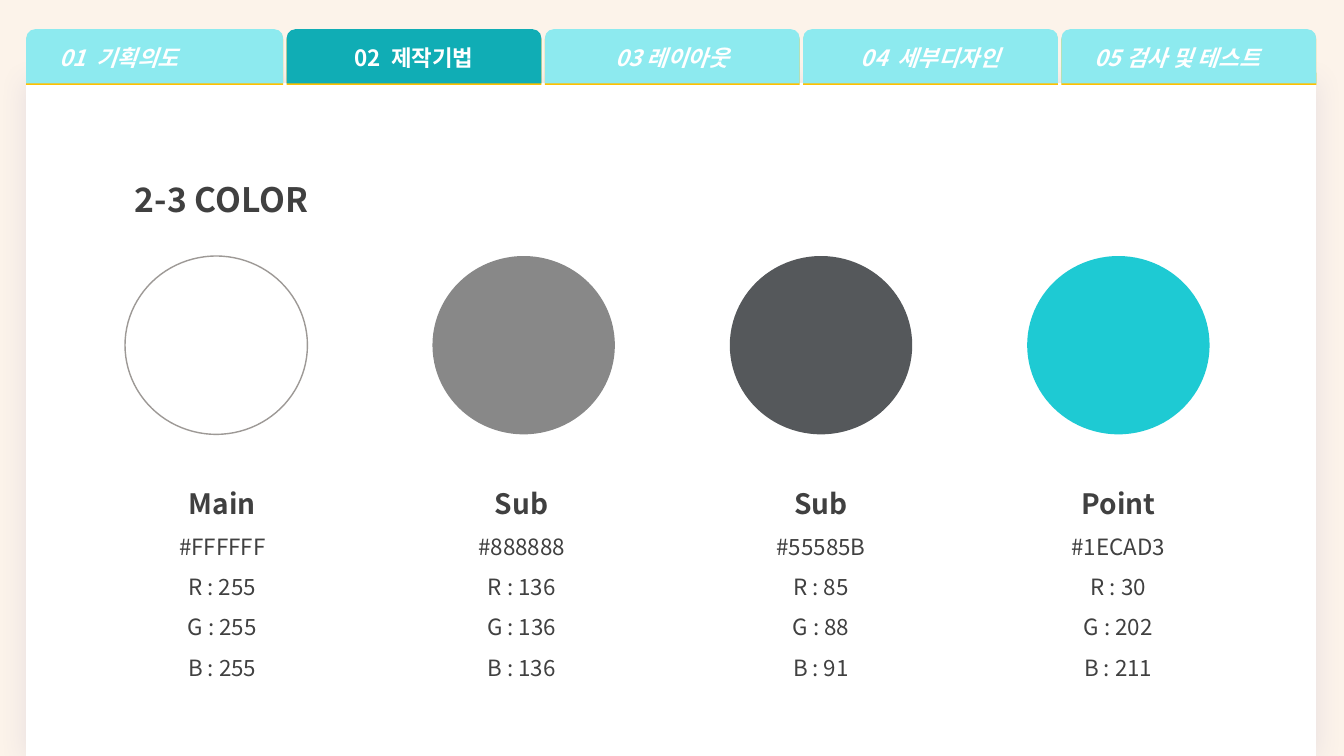
from lxml.etree import SubElement
from pptx import Presentation
from pptx.dml.color import RGBColor
from pptx.enum.shapes import MSO_SHAPE
from pptx.enum.text import MSO_ANCHOR, PP_ALIGN
from pptx.oxml.ns import qn
from pptx.util import Pt

FONT = "Noto Sans CJK KR"
HUES = {
    "page": "FCF3EA",
    "panel": "FFFFFF",
    "tab": "8DEAEF",
    "active": "10ADB5",
    "label": "FFFFFF",
    "text": "404040",
    "ring": "9D9996",
    "haze": "7670AE",
    "edge": "FFC000",
}
TABS = [
    ("01  기획의도", PP_ALIGN.LEFT),
    ("02  제작기법", PP_ALIGN.CENTER),
    ("03 레이아웃", PP_ALIGN.CENTER),
    ("04  세부디자인", PP_ALIGN.CENTER),
    ("05 검사 및 테스트", PP_ALIGN.LEFT),
]
ACTIVE = 1
TONES = [
    ("Main", "FFFFFF", 69.1, 20.2),
    ("Sub", "888888", 283, 25.9),
    ("Sub", "55585B", 496.8, 24.5),
    ("Point", "1ECAD3", 709.2, 24.5),
]


def shade(hue):
    return RGBColor.from_string(hue)


def style(para, size, hue, bold=False, slant=False):
    font = para.font
    font.name = FONT
    font.size = Pt(size)
    font.bold = bold
    font.italic = slant
    font.color.rgb = shade(hue)
    props = para._p.pPr.find(qn("a:defRPr"))
    SubElement(props, qn("a:ea"), typeface=FONT)


def draw(slide, kind, box, hue):
    shape = slide.shapes.add_shape(kind, *map(Pt, box))
    shape.shadow.inherit = False
    shape.fill.solid()
    shape.fill.fore_color.rgb = shade(hue)
    shape.line.fill.background()
    return shape


def cast(shape, hue, alpha, blur, drop):
    group = shape._element.spPr.find(qn("a:effectLst"))
    glow = SubElement(group, qn("a:outerShdw"), blurRad=str(Pt(blur)),
                      dist=str(Pt(drop)), dir="5400000", algn="t", rotWithShape="0")
    tint = SubElement(glow, qn("a:srgbClr"), val=hue)
    SubElement(tint, qn("a:alpha"), val=str(alpha * 1000))


def write(slide, box, lines, align):
    frame = slide.shapes.add_textbox(*map(Pt, box)).text_frame
    frame.word_wrap = True
    for i, (text, size, bold) in enumerate(lines):
        para = frame.paragraphs[0] if i == 0 else frame.add_paragraph()
        para.text = text
        para.alignment = align
        para.line_spacing = 1.5
        style(para, size, HUES["text"], bold)


def add_panel(slide, box):
    panel = draw(slide, MSO_SHAPE.ROUND_2_SAME_RECTANGLE, box, HUES["panel"])
    panel.adjustments[0] = 0
    cast(panel, HUES["haze"], 14, 18, 0)


def add_tabs(slide, box):
    left, top, width, height = box
    gap, first = 2.4, 183.6
    rest = (width - first) / (len(TABS) - 1) - gap
    for i, (text, align) in enumerate(TABS):
        wide = first if i == 0 else rest
        hue = HUES["active" if i == ACTIVE else "tab"]
        tab = draw(slide, MSO_SHAPE.ROUND_2_SAME_RECTANGLE, (left, top, wide, height), hue)
        cast(tab, HUES["edge"], 100, 0, 1)
        frame = tab.text_frame
        frame.word_wrap = True
        frame.vertical_anchor = MSO_ANCHOR.MIDDLE
        if align == PP_ALIGN.LEFT:
            frame.margin_left = Pt(22)
        para = frame.paragraphs[0]
        para.text = text
        para.alignment = align
        style(para, 16, HUES["label"], True, i != ACTIVE)
        left += wide + gap


def add_title(slide, box):
    write(slide, box, [("2-3 COLOR", 24, True)], PP_ALIGN.LEFT)


def add_tone(slide, box, name, hue, inset):
    left, top, width, height = box
    dot = draw(slide, MSO_SHAPE.OVAL, (left + inset, top, 130.3, 127.4), hue)
    if hue == HUES["panel"]:
        dot.line.color.rgb = shade(HUES["ring"])
        dot.line.width = Pt(1)
    parts = [f"{key} : {part}" for key, part in zip("RGB", shade(hue))]
    lines = [(name, 20, True)] + [(text, 16, False) for text in [f"#{hue}"] + parts]
    drop = 148.7
    write(slide, (left, top + drop, width, height - drop), lines, PP_ALIGN.CENTER)


def main():
    deck = Presentation()
    deck.slide_width, deck.slide_height = Pt(960), Pt(540)
    slide = deck.slides.add_slide(deck.slide_layouts[6])
    slide.background.fill.solid()
    slide.background.fill.fore_color.rgb = shade(HUES["page"])
    add_panel(slide, (18.7, 59.2, 921.2, 480.8))
    add_tabs(slide, (18.7, 20.8, 921.5, 38.8))
    add_title(slide, (89.3, 110.2, 316.8, 45.4))
    for name, hue, left, inset in TONES:
        add_tone(slide, (left, 182.9, 179.3, 337.3), name, hue, inset)
    deck.save("out.pptx")


if __name__ == "__main__":
    main()
